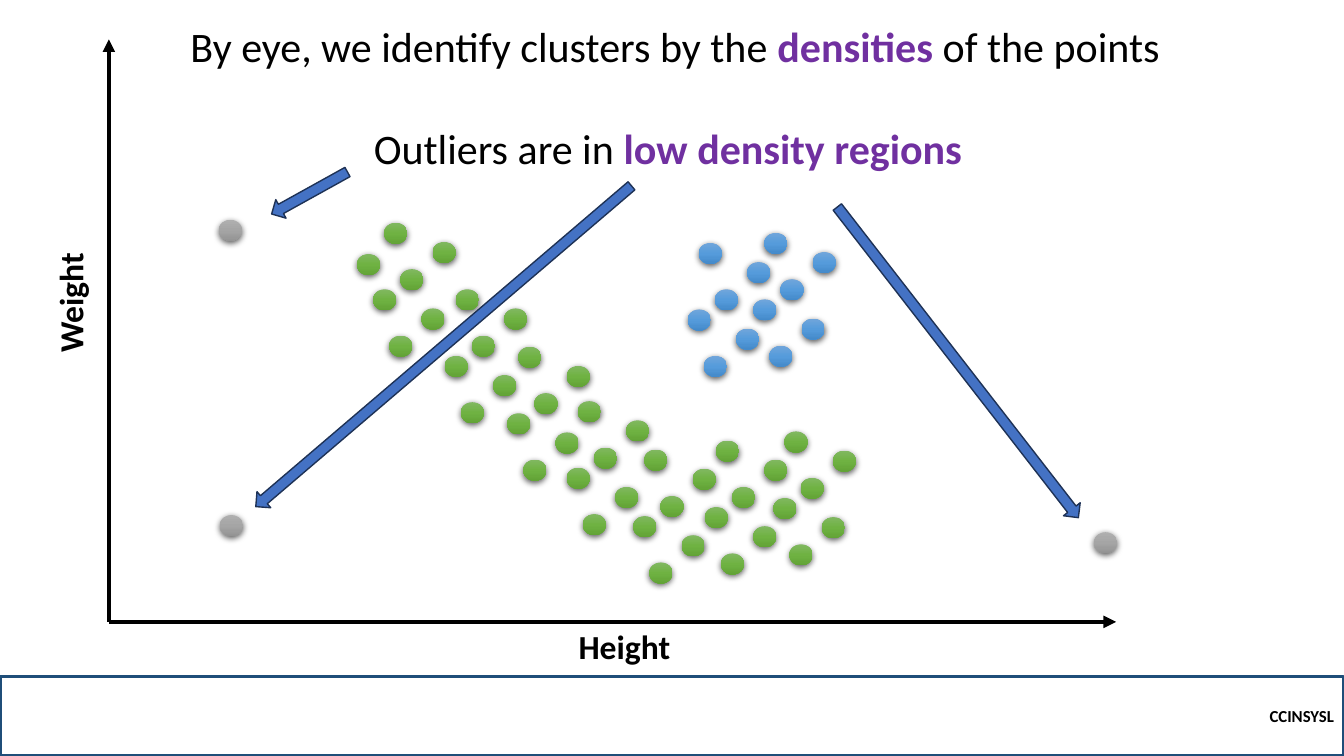
from copy import deepcopy
from pptx import Presentation
from pptx.dml.color import RGBColor
from pptx.enum.shapes import MSO_CONNECTOR, MSO_SHAPE
from pptx.enum.text import MSO_ANCHOR, MSO_AUTO_SIZE, PP_ALIGN
from pptx.oxml import parse_xml
from pptx.oxml.ns import nsdecls, qn
from pptx.util import Inches, Pt

RECT, OVAL, ARROW = MSO_SHAPE.RECTANGLE, MSO_SHAPE.OVAL, MSO_SHAPE.RIGHT_ARROW
LINE = MSO_CONNECTOR.STRAIGHT
MIDDLE, RIGHT, FIT = MSO_ANCHOR.MIDDLE, PP_ALIGN.RIGHT, MSO_AUTO_SIZE.SHAPE_TO_FIT_TEXT

COLS, ROWS = 13.33, 7.5
FONT, BLACK, PURPLE = "Calibri", "000000", "7030A0"
GREEN = ("81B861", "6FB242", "62A336")
BLUE = ("71A6DB", "559BDB", "448ACA")
GRAY = ("AFAFAF", "A5A5A5", "939393")
DOT = (0.23, 0.21)
TRIO = ((0, 0), (0.16, 0.46), (0.48, 0.19))
PAIR = ((0, 0), (-0.11, 0.66))
GREENS = ((3.81, 2.21), (4.52, 2.87), (5.14, 3.44), (5.73, 3.98),
          (6.39, 4.46), (7.1, 4.37), (7.78, 4.28))
BLUES = ((6.93, 2.41), (7.58, 2.31))
OUTLIERS = ((2.17, 2.18), (2.18, 5.11), (10.85, 5.28))
ARROWS = ((7.55, 3.49, 3.9, 52.2), (2.64, 1.81, 0.86, 151), (1.95, 3.33, 4.9, 139.5))
SHADOW = (f'<a:outerShdw {nsdecls("a")} blurRad="57150" dist="19050" dir="5400000" '
          'algn="ctr" rotWithShape="0"><a:srgbClr val="000000">'
          '<a:alpha val="63000"/></a:srgbClr></a:outerShdw>')


def grid(*cells):
    """Turn one-inch grid cells into lengths."""
    return [Inches(cell) for cell in cells]


def color(code):
    """Turn a hex string into a colour."""
    return RGBColor.from_string(code)


def write(frame, runs, size):
    """Write (text, colour, bold) runs into the first paragraph."""
    para = frame.paragraphs[0]
    for text, code, bold in runs:
        run = para.add_run()
        run.text = text
        run.font.name, run.font.size, run.font.bold = FONT, Pt(size), bold
        run.font.color.rgb = color(code)
    return para


def label(shapes, box, runs, size, turn=0):
    """Add a text box, turned if asked."""
    text = shapes.add_textbox(*grid(*box))
    text.rotation = turn
    text.text_frame.word_wrap = True
    text.text_frame.auto_size = FIT
    write(text.text_frame, runs, size)


def footer(shapes):
    """Add the outlined bar with the course code."""
    top = 6.71
    bar = shapes.add_shape(RECT, *grid(0, top, COLS, ROWS - top))
    bar.shadow.inherit = False
    bar.fill.background()
    bar.line.color.rgb, bar.line.width = color("1F4E79"), Pt(2.25)
    bar.text_frame.vertical_anchor = MIDDLE
    write(bar.text_frame, [("CCINSYSL", BLACK, True)], 12).alignment = RIGHT


def axis(shapes, end):
    """Draw an axis from the chart's corner to its arrowhead."""
    line = shapes.add_connector(LINE, *grid(1.08, 6.17, *end))
    line.line.color.rgb, line.line.width = color(BLACK), Pt(3)
    props = line._element.spPr
    props.find(qn("a:ln")).append(parse_xml(f'<a:tailEnd {nsdecls("a")} type="triangle"/>'))
    props.append(parse_xml(f'<a:effectLst {nsdecls("a")}/>'))


def dot(shapes, spot, shades):
    """Draw a shaded data point with a soft shadow."""
    mark = shapes.add_shape(OVAL, *grid(*spot, *DOT))
    mark.line.fill.background()
    mark.fill.gradient()
    mark.fill.gradient_angle = 270
    props = mark._element.spPr
    stops = props.find(qn("a:gradFill")).find(qn("a:gsLst"))
    stops.append(deepcopy(stops[-1]))
    for step, (stop, shade) in enumerate(zip(mark.fill.gradient_stops, shades)):
        stop.position = step / 2
        stop.color.rgb = color(shade)
    mark.shadow.inherit = False
    props.find(qn("a:effectLst")).append(parse_xml(SHADOW))


def cluster(shapes, spots, shades):
    """Draw six points, two trios, at each spot."""
    for x, y in spots:
        for right, down in PAIR:
            for dx, dy in TRIO:
                dot(shapes, (x + right + dx, y + down + dy), shades)


def arrow(shapes, x, y, width, turn):
    """Draw a block arrow turned toward an outlier."""
    mark = shapes.add_shape(ARROW, *grid(x, y, width, 0.21))
    mark.rotation = turn
    mark.shadow.inherit = False
    mark.fill.solid()
    mark.fill.fore_color.rgb = color("4472C4")
    mark.line.color.rgb, mark.line.width = color("1E3256"), Pt(1)


def main():
    """Build the slide and save it."""
    deck = Presentation()
    deck.slide_width, deck.slide_height = grid(COLS, ROWS)
    shapes = deck.slides.add_slide(deck.slide_layouts[6]).shapes
    footer(shapes)
    for end in ((11.07, 6.17), (1.08, 0.39)):
        axis(shapes, end)
    cluster(shapes, GREENS, GREEN)
    dot(shapes, (3.54, 2.52), GREEN)
    cluster(shapes, BLUES, BLUE)
    for spot in OUTLIERS:
        dot(shapes, spot, GRAY)
    label(shapes, (5.64, 6.16, 1.17, 0.5), [("Height", BLACK, True)], 24)
    label(shapes, (0.1, 2.75, 1.19, 0.5), [("Weight", BLACK, True)], 24, 270)
    label(shapes, (1.79, 0.15, 9.85, 0.61),
          [("By eye, we identify clusters by the ", BLACK, False),
           ("densities", PURPLE, True), (" of the points", BLACK, False)], 30)
    notes = shapes.add_group_shape().shapes
    label(notes, (3.61, 1.17, 6.2, 0.61),
          [("Outliers are in ", BLACK, False), ("low density regions", PURPLE, True)], 30)
    for place in ARROWS:
        arrow(notes, *place)
    deck.save("out.pptx")


if __name__ == "__main__":
    main()
